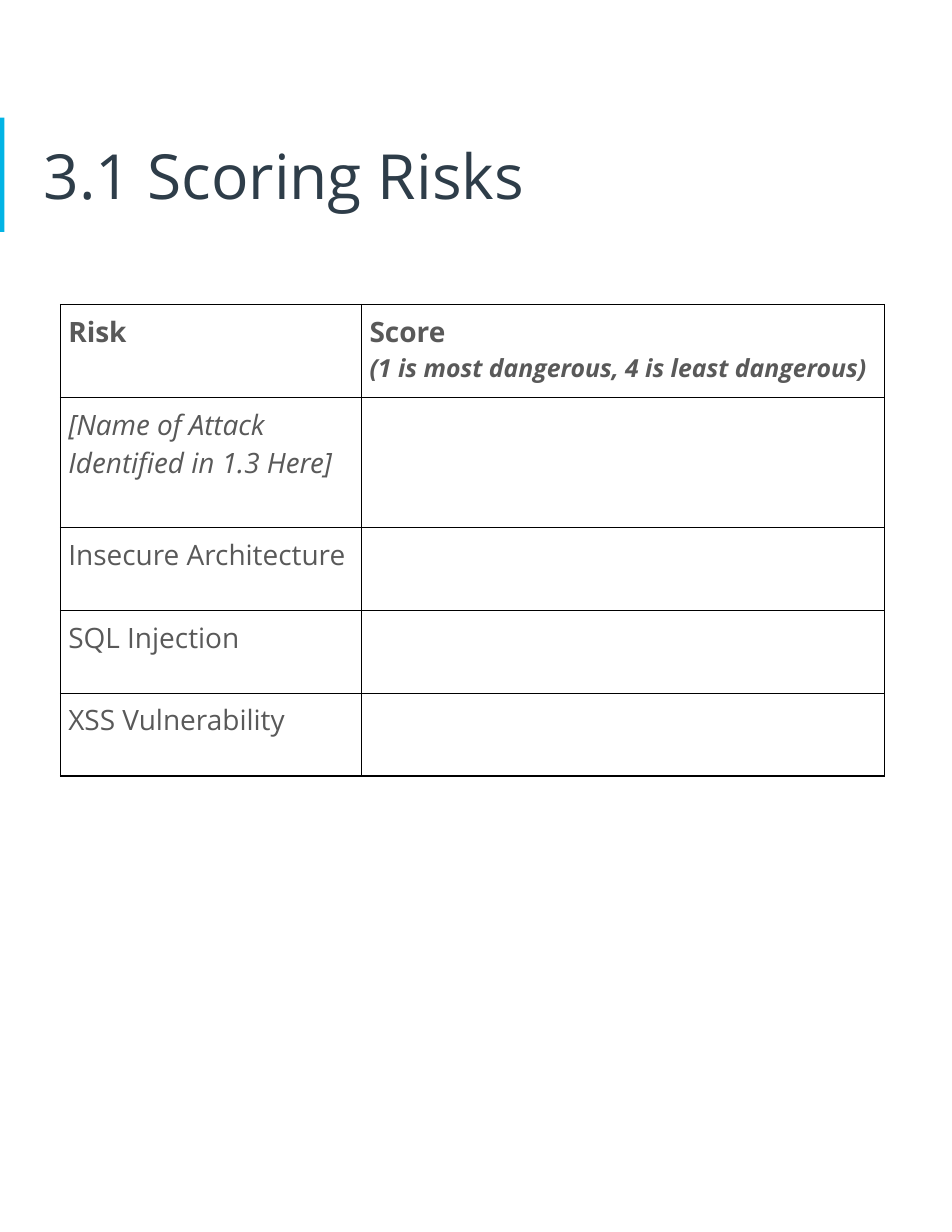
import pptx
import pptx.util
import pptx.dml.color
import pptx.enum.shapes
import pptx.enum.text
import lxml.etree

HUES = {"bar": "02B4E5", "title": "2E3D49", "text": "595959", "line": "000000"}
FONT = "Open Sans"
NS = "http://schemas.openxmlformats.org/drawingml/2006/main"
inch = pptx.util.Inches


def write(para, text, size, hue, bold=False, slant=False):
    run = para.add_run()
    run.text = text
    font = run.font
    font.name, font.size = FONT, pptx.util.Pt(size)
    font.bold, font.italic = bold, slant
    font.color.rgb = pptx.dml.color.RGBColor.from_string(HUES[hue])


def frame(cell):
    """Give the cell thin lines on all four sides and no fill."""
    props = cell._tc.get_or_add_tcPr()
    for side in ("lnL", "lnR", "lnT", "lnB"):
        line = lxml.etree.SubElement(props, f"{{{NS}}}{side}", w=str(pptx.util.Pt(1)))
        fill = lxml.etree.SubElement(line, f"{{{NS}}}solidFill")
        lxml.etree.SubElement(fill, f"{{{NS}}}srgbClr", val=HUES["line"])
    cell.fill.background()


deck = pptx.Presentation()
deck.slide_width, deck.slide_height = inch(8.5), inch(11)
slide = deck.slides.add_slide(deck.slide_layouts[5])

# Accent bar at the left edge
bar = slide.shapes.add_shape(
    pptx.enum.shapes.MSO_SHAPE.RECTANGLE, 0, inch(1.05), inch(0.04), inch(1.02))
bar.shadow.inherit = False
bar.fill.solid()
bar.fill.fore_color.rgb = pptx.dml.color.RGBColor.from_string(HUES["bar"])
bar.line.fill.background()

# Title
title = slide.shapes.title
title.left, title.top = inch(0.29), inch(0.95)
title.width, title.height = inch(7.92), inch(1.22)
body = title.text_frame
body.auto_size = pptx.enum.text.MSO_AUTO_SIZE.NONE
body.vertical_anchor = pptx.enum.text.MSO_ANCHOR.MIDDLE
body.margin_left = body.margin_right = inch(0.1)
body.margin_top = body.margin_bottom = inch(0.1)
body.paragraphs[0].alignment = pptx.enum.text.PP_ALIGN.LEFT
write(body.paragraphs[0], "3.1 Scoring Risks", 40, "title")

# Risk table: each cell lists its paragraphs as (text, size, bold, slant)
cols = [2.69, 4.67]
rows = [0.83, 1.16] + [0.74] * 3
cells = [
    [[("Risk", 18, True, False)],
     [("Score", 18, True, False),
      ("(1 is most dangerous, 4 is least dangerous)", 16, True, True)]],
    [[("[Name of Attack Identified in 1.3 Here]", 18, False, True)], []],
]
for name in ("Insecure Architecture", "SQL Injection", "XSS Vulnerability"):
    cells.append([[(name, 18, False, False)], []])

table = slide.shapes.add_table(
    len(rows), len(cols), inch(0.54), inch(2.72), inch(sum(cols)), inch(sum(rows))).table
table.first_row = table.horz_banding = False
for col, width in zip(table.columns, cols):
    col.width = inch(width)
for row, height, texts in zip(table.rows, rows, cells):
    row.height = inch(height)
    for cell, lines in zip(row.cells, texts):
        frame(cell)
        cell.margin_left = cell.margin_right = inch(0.07)
        cell.margin_top = cell.margin_bottom = inch(0.07)
        for i, (text, size, bold, slant) in enumerate(lines):
            paras = cell.text_frame
            para = paras.add_paragraph() if i else paras.paragraphs[0]
            write(para, text, size, "text", bold, slant)

deck.save("out.pptx")
